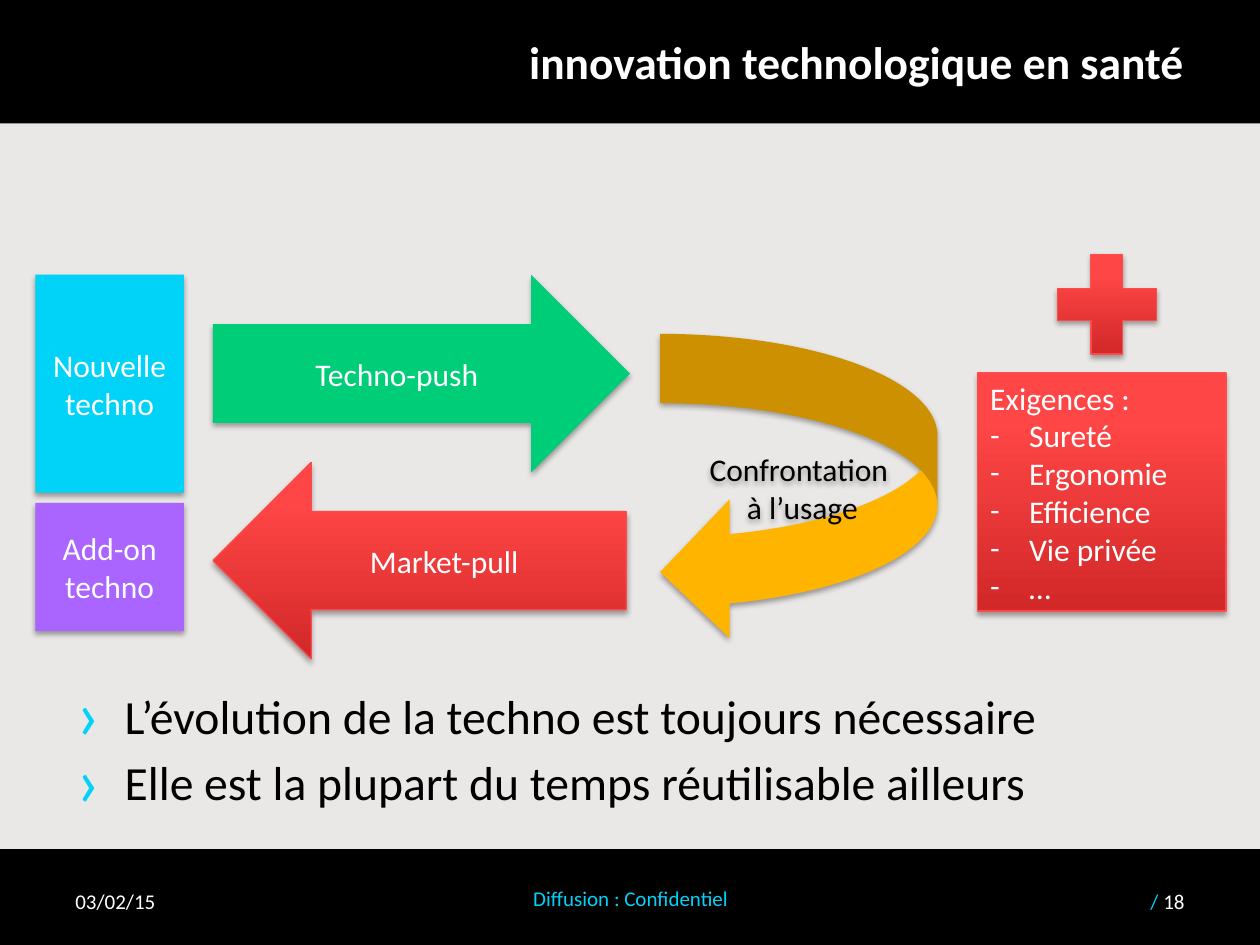
from lxml import etree
from pptx import Presentation
from pptx.dml.color import RGBColor
from pptx.enum.shapes import MSO_SHAPE
from pptx.enum.text import MSO_ANCHOR, MSO_AUTO_SIZE, PP_ALIGN
from pptx.oxml.ns import qn
from pptx.util import Inches, Pt

RECTANGLE = MSO_SHAPE.RECTANGLE
RIGHT_ARROW = MSO_SHAPE.RIGHT_ARROW
LEFT_ARROW = MSO_SHAPE.LEFT_ARROW
CURVED_ARROW = MSO_SHAPE.CURVED_LEFT_ARROW
CROSS = MSO_SHAPE.CROSS
LEFT, CENTER, RIGHT = PP_ALIGN.LEFT, PP_ALIGN.CENTER, PP_ALIGN.RIGHT
TOP, MIDDLE = MSO_ANCHOR.TOP, MSO_ANCHOR.MIDDLE
NO_AUTOFIT = MSO_AUTO_SIZE.NONE

COLUMNS, ROWS, CELL = 100, 75, 0.1
FONT = "Calibri"
BLACK, WHITE, CYAN = "000000", "FFFFFF", "00D2F8"
GREEN, AMBER, PURPLE = "00CD78", "FFB400", "AA64FF"
RED, DARK_RED, RED_EDGE = "FF4646", "D22828", "FE4A4A"
BACKGROUND = "EAE8E6"


def rgb(value):
    """Turn a hex string into a colour."""
    return RGBColor.from_string(value)


def cells(*counts):
    """Turn counts of grid cells into lengths."""
    return [Inches(count * CELL) for count in counts]


def place(shape, box):
    """Move a shape to a box given in grid cells."""
    shape.left, shape.top, shape.width, shape.height = cells(*box)


def add_run(paragraph, text, size, color, bold=False):
    """Add one formatted run to a paragraph."""
    run = paragraph.add_run()
    run.text = text
    run.font.name = FONT
    run.font.size = Pt(size)
    run.font.bold = bold
    run.font.color.rgb = rgb(color)


def write(shape, lines, size, color, align=CENTER, anchor=MIDDLE, bold=False):
    """Write lines into a shape and return their paragraphs."""
    frame = shape.text_frame
    frame.word_wrap = True
    frame.auto_size = NO_AUTOFIT
    frame.vertical_anchor = anchor
    paragraphs = []
    for line in lines:
        paragraph = frame.add_paragraph() if paragraphs else frame.paragraphs[0]
        paragraph.alignment = align
        add_run(paragraph, line, size, color, bold)
        paragraphs.append(paragraph)
    return paragraphs


def add_bullet(paragraph, character, indent, color=None, percent=100):
    """Give a paragraph a bullet with a hanging indent."""
    properties = paragraph._p.get_or_add_pPr()
    properties.set("marL", str(Inches(indent)))
    properties.set("indent", str(-Inches(indent)))
    if color:
        holder = etree.SubElement(properties, qn("a:buClr"))
        etree.SubElement(holder, qn("a:srgbClr"), val=color)
    etree.SubElement(properties, qn("a:buSzPct"), val=str(percent * 1000))
    etree.SubElement(properties, qn("a:buFont"), typeface=FONT)
    etree.SubElement(properties, qn("a:buChar"), char=character)


def add_shadow(shape):
    """Give a shape a soft shadow below it."""
    shape.shadow.inherit = False
    effects = shape._element.spPr.find(qn("a:effectLst"))
    shadow = etree.SubElement(
        effects, qn("a:outerShdw"), blurRad=str(Pt(3.1)), dist=str(Pt(1.8)),
        dir="5400000", rotWithShape="0")
    color = etree.SubElement(shadow, qn("a:srgbClr"), val=BLACK)
    etree.SubElement(color, qn("a:alpha"), val="35000")


def add_block(slide, kind, box, color, lines=(), text_color=WHITE, align=CENTER):
    """Add a shadowed shape with text, shaded and outlined when red."""
    shape = slide.shapes.add_shape(kind, *cells(*box))
    if color == RED:
        shape.fill.gradient()
        shape.fill.gradient_angle = 90
        stops = shape.fill.gradient_stops
        for stop, (position, shade) in zip(stops, [(0, DARK_RED), (0.8, RED)]):
            stop.position = position
            stop.color.rgb = rgb(shade)
        shape.line.color.rgb = rgb(RED_EDGE)
        shape.line.width = Pt(0.75)
    else:
        shape.fill.solid()
        shape.fill.fore_color.rgb = rgb(color)
        shape.line.fill.background()
    add_shadow(shape)
    paragraphs = write(shape, lines, 18, text_color, align)
    return shape, paragraphs


def add_bar(slide, row, height):
    """Add a full-width black bar behind everything else."""
    bar = slide.shapes.add_shape(RECTANGLE, *cells(0, row, COLUMNS, height))
    bar.fill.solid()
    bar.fill.fore_color.rgb = rgb(BLACK)
    bar.line.fill.background()
    bar.shadow.inherit = False
    slide.shapes._spTree.insert(2, bar._element)


def add_label(slide, box, text, color, align, anchor=MIDDLE):
    """Add a footer label and return its paragraph."""
    label = slide.shapes.add_textbox(*cells(*box))
    return write(label, [text], 12, color, align, anchor)[0]


def add_footer(slide):
    """Add the date, the notice and the slide number."""
    add_label(slide, (5, 69.5, 23.3, 4), "03/02/15", WHITE, LEFT)
    add_label(slide, (34.3, 69.8, 31.5, 3), "Diffusion : Confidentiel", CYAN, CENTER, TOP)
    number = add_label(slide, (71.7, 69.5, 23.3, 4), "/ ", CYAN, RIGHT)
    add_run(number, "18", 12, WHITE)


def fill_placeholders(slide):
    """Write the title and the list of conclusions."""
    title, body = slide.shapes.title, slide.placeholders[1]
    place(title, (27.2, 2.2, 67.8, 5.4))
    write(title, ["innovation technologique en santé"], 26, WHITE, RIGHT, bold=True)
    place(body, (5.1, 54, 90, 11))
    conclusions = ["L’évolution de la techno est toujours nécessaire",
                   "Elle est la plupart du temps réutilisable ailleurs"]
    for paragraph in write(body, conclusions, 27.2, BLACK, LEFT, TOP):
        paragraph.space_before = Pt(5.4)
        add_bullet(paragraph, "›", 0.38, CYAN, 150)


def add_diagram(slide):
    """Add the push and pull cycle with its requirements."""
    add_block(slide, RIGHT_ARROW, (16.9, 21.8, 33.1, 15.7), GREEN, ["Techno-push"])
    add_block(slide, RECTANGLE, (2.8, 21.8, 11.8, 17.3), CYAN, ["Nouvelle techno"])
    add_block(slide, CURVED_ARROW, (52.4, 26.5, 22, 24.4), AMBER,
              ["Confrontation", " à l’usage"], BLACK)
    requirements = ["Exigences :", "Sureté", "Ergonomie", "Efficience", "Vie privée", "…"]
    _, paragraphs = add_block(slide, RECTANGLE, (77.6, 29.6, 19.7, 18.9), RED,
                              requirements, align=LEFT)
    for paragraph in paragraphs[1:]:
        add_bullet(paragraph, "-", 0.31)
    add_block(slide, LEFT_ARROW, (16.9, 36.7, 32.8, 15.6), RED, ["Market-pull"])
    add_block(slide, RECTANGLE, (2.8, 39.9, 11.8, 10.2), PURPLE, ["Add-on", "techno"])
    cross, _ = add_block(slide, CROSS, (83.9, 20.2, 7.9, 7.9), RED)
    cross.adjustments[0] = 0.34


def main():
    """Build the slide and save it."""
    presentation = Presentation()
    presentation.slide_width, presentation.slide_height = cells(COLUMNS, ROWS)
    slide = presentation.slides.add_slide(presentation.slide_layouts[1])
    slide.background.fill.solid()
    slide.background.fill.fore_color.rgb = rgb(BACKGROUND)
    add_bar(slide, 0, 9.8)
    add_bar(slide, 67.4, 7.6)
    add_footer(slide)
    fill_placeholders(slide)
    add_diagram(slide)
    presentation.save("out.pptx")


if __name__ == "__main__":
    main()
